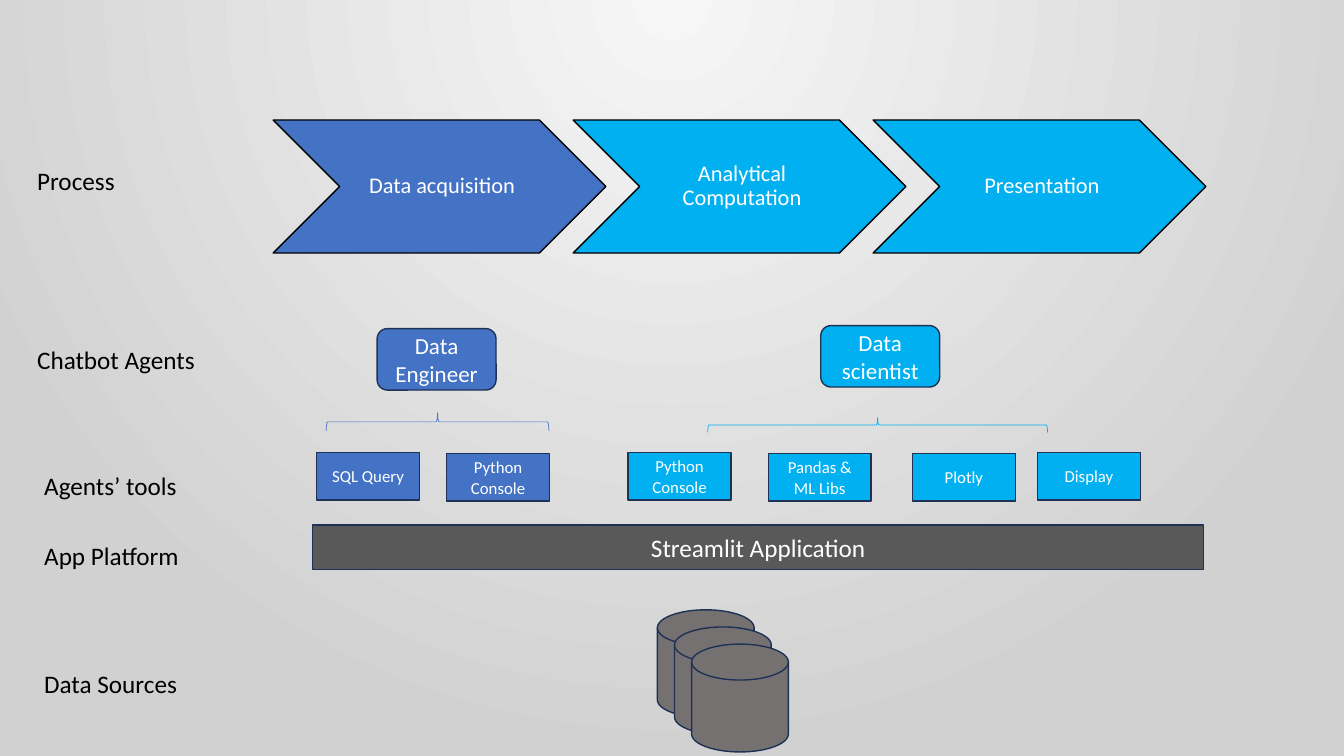
from lxml import etree
from pptx import Presentation
from pptx import util as u
from pptx.dml import color
from pptx.enum import shapes, text
from pptx.oxml import ns

BLUE, CYAN, GRAY, DISK = "4472C4", "00B0F0", "595959", "767171"
NAVY, WHITE, BLACK = "1E3256", "FFFFFF", "000000"
SHAPE = shapes.MSO_SHAPE


def rgb(value):
    return color.RGBColor.from_string(value)


def add_box(kind, left, top, width, height, fill, line=NAVY, label="", size=12):
    box = page.shapes.add_shape(kind, u.Inches(left), u.Inches(top),
                                u.Inches(width), u.Inches(height))
    box.shadow.inherit = False
    box.fill.solid()
    box.fill.fore_color.rgb = rgb(fill)
    box.line.color.rgb = rgb(line)
    box.line.width = u.Pt(1)
    if label:
        frame = box.text_frame
        frame.text = label
        frame.word_wrap = True
        frame.vertical_anchor = text.MSO_ANCHOR.MIDDLE
        para = frame.paragraphs[0]
        para.alignment = text.PP_ALIGN.CENTER
        span = para.runs[0]
        span.font.name = "Calibri"
        span.font.size = u.Pt(size)
        span.font.color.rgb = rgb(WHITE)
    return box


deck = Presentation()
deck.slide_width, deck.slide_height = u.Inches(13.33), u.Inches(7.5)
page = deck.slides.add_slide(deck.slide_layouts[6])

# Background: circular gradient spreading from the top centre
background = page.background.fill
background.gradient()
for stop, value, position in zip(background.gradient_stops, ("F6F6F6", "D2D1D1"), (0, 1)):
    stop.color.rgb = rgb(value)
    stop.position = position
gradient = page.element.find(".//" + ns.qn("a:gradFill"))
gradient.remove(gradient.find(ns.qn("a:lin")))
circle = etree.SubElement(gradient, ns.qn("a:path"), {"path": "circle"})
etree.SubElement(circle, ns.qn("a:fillToRect"),
                 {"l": "43000", "t": "0", "r": "43000", "b": "100000"})

# Row labels
for label, left, top in (
    ("Process", 0.27, 1.59),
    ("Chatbot Agents", 0.27, 3.37),
    ("Agents’ tools", 0.34, 4.62),
    ("App Platform", 0.34, 5.31),
    ("Data Sources", 0.34, 6.58),
):
    box = page.shapes.add_textbox(u.Inches(left), u.Inches(top), u.Inches(2.2), u.Inches(0.4))
    box.text_frame.text = label
    box.text_frame.word_wrap = True
    box.text_frame.auto_size = text.MSO_AUTO_SIZE.SHAPE_TO_FIT_TEXT
    span = box.text_frame.paragraphs[0].runs[0]
    span.font.name = "Calibri"
    span.font.size = u.Pt(18)
    span.font.color.rgb = rgb(BLACK)

# Process chevrons
steps = (("Data acquisition", BLUE), ("Analytical Computation", CYAN), ("Presentation", CYAN))
for index, (label, fill) in enumerate(steps):
    chevron = add_box(SHAPE.CHEVRON, 2.71 + index * 2.975, 1.19, 3.3, 1.32,
                      fill, BLACK, label, 16)
    frame = chevron.text_frame
    frame.margin_left = u.Inches(0.07)
    frame.margin_top = frame.margin_right = frame.margin_bottom = u.Inches(0.02)
    frame.paragraphs[0].line_spacing = 0.9

# Agents
for label, left, top, fill in (
    ("Data Engineer", 3.74, 3.26, BLUE),
    ("Data scientist", 8.14, 3.23, CYAN),
):
    agent = add_box(SHAPE.ROUNDED_RECTANGLE, left, top, 1.18, 0.61, fill, NAVY, label, 16.4)
    agent.text_frame.paragraphs[0].space_after = u.Pt(6)

# Braces from each agent to its tools
for left, top, width, height, line in (
    (4.25, 3.08, 0.18, 2.21, BLUE),
    (8.63, 2.53, 0.15, 3.37, CYAN),
):
    brace = add_box(SHAPE.RIGHT_BRACE, left, top, width, height, WHITE, line)
    brace.fill.background()
    brace.line.width = u.Pt(0.5)
    brace.rotation = 270

# Tools
for label, left, top, fill in (
    ("SQL Query", 3.14, 4.49, BLUE),
    ("Python Console", 4.43, 4.5, BLUE),
    ("Python Console", 6.23, 4.49, CYAN),
    ("Pandas & ML Libs", 7.62, 4.5, CYAN),
    ("Plotly", 9.05, 4.5, CYAN),
    ("Display", 10.29, 4.49, CYAN),
):
    add_box(SHAPE.RECTANGLE, left, top, 1.02, 0.47, fill, NAVY, label)

# App platform
add_box(SHAPE.RECTANGLE, 3.1, 5.21, 8.84, 0.44, GRAY, NAVY, "Streamlit Application", 18)

# Data sources: stacked disks
for index in range(3):
    offset = index * 0.17
    add_box(SHAPE.FLOWCHART_MAGNETIC_DISK, 6.52 + offset, 6.05 + offset, 0.96, 1.07, DISK)

deck.save("out.pptx")
